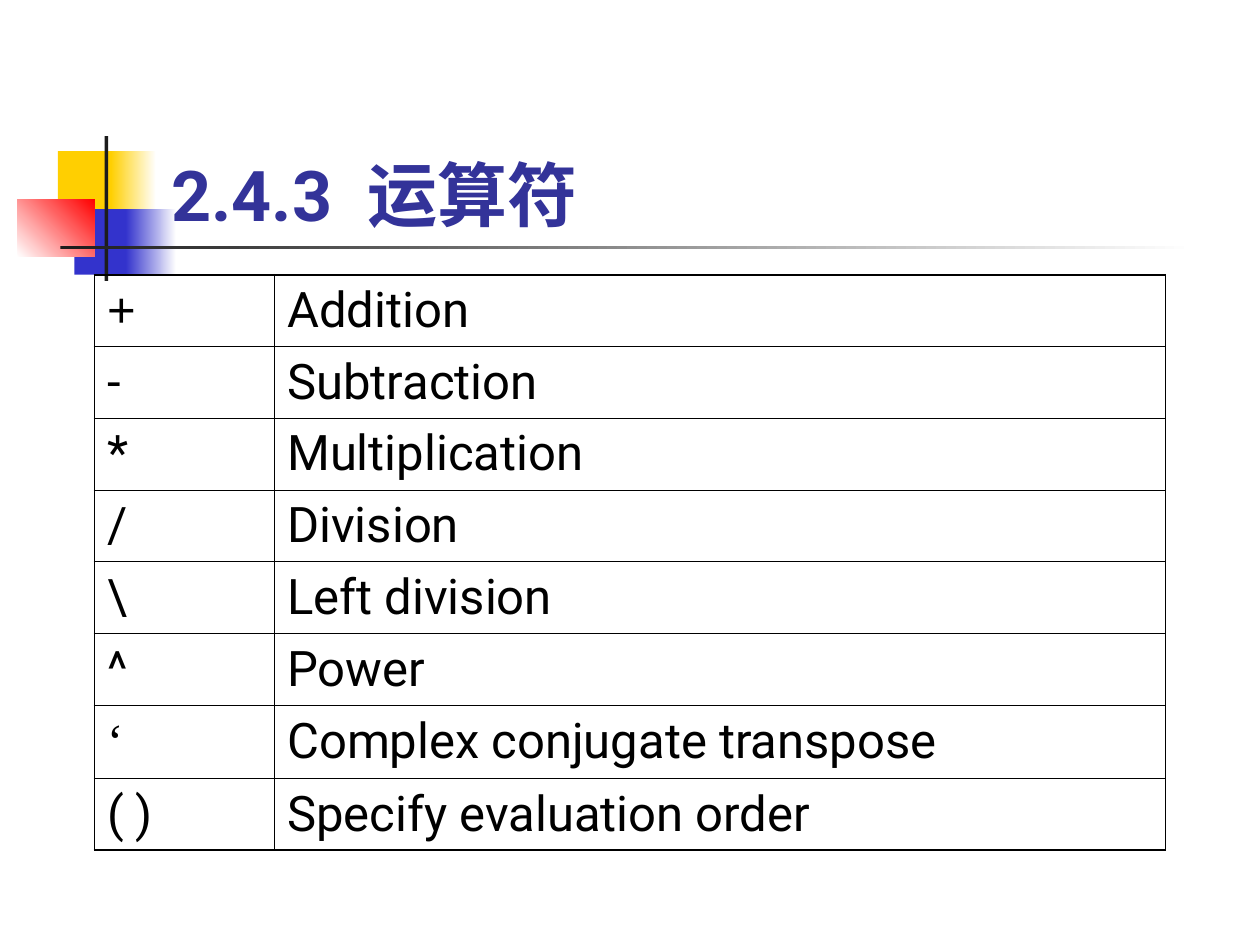
from dataclasses import dataclass

from lxml.etree import SubElement
from pptx import Presentation
from pptx.dml.color import RGBColor
from pptx.enum.shapes import MSO_SHAPE as Shape
from pptx.enum.text import MSO_ANCHOR as Anchor, MSO_AUTO_SIZE as AutoSize, PP_ALIGN as Align
from pptx.oxml.ns import qn
from pptx.util import Inches, Pt


@dataclass(frozen=True)
class Theme:
    font: str = "Roboto"
    plus_font: str = "Arial"
    quote_font: str = "Times New Roman"
    title_size: int = 40
    body_size: int = 28
    title: str = "333399"
    ink: str = "000000"
    bar: str = "1C1C1C"
    white: str = "FFFFFF"
    yellow: str = "FFCF01"
    blue: str = "3333CC"
    red: str = "FF0000"
    thin: float = 0.45
    thick: float = 1.08


THEME = Theme()
TITLE = ("2.4.3", "运算符")
OPERATORS = [
    ("+", "Addition"),
    ("-", "Subtraction"),
    ("*", "Multiplication"),
    ("/", "Division"),
    ("\\", "Left division"),
    ("^", "Power"),
    ("‘", "Complex conjugate transpose"),
    ("( )", "Specify evaluation order"),
]
SYMBOL_FONTS = {"+": THEME.plus_font, "‘": THEME.quote_font}
COLUMN_WIDTHS = (1.43, 7.07)
ROW_HEIGHT = 0.57


def add_span(para, text, font=THEME.font, size=THEME.body_size, color=THEME.ink,
             bold=False, spacing=0):
    """Append a run; spacing is extra letter spacing in points."""
    span = para.add_run()
    span.text = text
    span.font.name = font
    span.font.size = Pt(size)
    span.font.bold = bold
    span.font.color.rgb = RGBColor.from_string(color)
    if spacing:
        span.font._element.set("spc", str(spacing * 100))


def set_borders(cell, widths):
    """Draw the left, right, top and bottom cell borders, widths in points."""
    properties = cell._tc.get_or_add_tcPr()
    for index, (side, width) in enumerate(zip("LRTB", widths)):
        line = properties.makeelement(qn(f"a:ln{side}"), {"w": str(Pt(width))})
        fill = SubElement(line, qn("a:solidFill"))
        SubElement(fill, qn("a:srgbClr"), val=THEME.ink)
        properties.insert(index, line)


class SlideBuilder:
    def __init__(self, slide, theme):
        self.slide = slide
        self.theme = theme

    def block(self, left, top, width, height, color, end=None, angle=0):
        """Add a plain rectangle, fading from color to end when end is given."""
        box = self.slide.shapes.add_shape(
            Shape.RECTANGLE, Inches(left), Inches(top), Inches(width), Inches(height))
        box.shadow.inherit = False
        box.line.fill.background()
        if end is None:
            box.fill.solid()
            box.fill.fore_color.rgb = RGBColor.from_string(color)
            return
        box.fill.gradient()
        box.fill.gradient_angle = angle
        for stop, stop_color in zip(box.fill.gradient_stops, (color, end)):
            stop.color.rgb = RGBColor.from_string(stop_color)

    def ornament(self):
        theme = self.theme
        self.block(0.46, 1.2, 0.48, 0.52, theme.yellow)
        self.block(0.88, 1.2, 0.36, 0.52, theme.yellow, theme.white)
        self.block(0.59, 1.66, 0.46, 0.52, theme.blue)
        self.block(1, 1.66, 0.4, 0.52, theme.blue, theme.white)
        self.block(0.14, 1.58, 0.61, 0.46, theme.white, theme.red, angle=45)
        self.block(0.83, 1.08, 0.03, 1.15, theme.bar)
        self.block(0.48, 1.95, 9, 0.03, theme.bar, theme.white)

    def title(self, number, name):
        box = self.slide.shapes.title
        self.slide.shapes._spTree.append(box._element)  # in front of the ornament
        box.left, box.top = Inches(1.26), Inches(0.67)
        box.width, box.height = Inches(8.52), Inches(1.25)
        frame = box.text_frame
        frame.auto_size = AutoSize.NONE
        frame.vertical_anchor = Anchor.BOTTOM
        para = frame.paragraphs[0]
        para.alignment = Align.LEFT
        for text, spacing in ((number, 0), (" ", 10), (name, 0)):
            add_span(para, text, size=self.theme.title_size, color=self.theme.title,
                     bold=True, spacing=spacing)

    def table(self, rows, left, top):
        thin, thick = self.theme.thin, self.theme.thick
        last_row, last_column = len(rows) - 1, len(COLUMN_WIDTHS) - 1
        frame = self.slide.shapes.add_table(
            len(rows), len(COLUMN_WIDTHS), Inches(left), Inches(top),
            Inches(sum(COLUMN_WIDTHS)), Inches(ROW_HEIGHT * len(rows)))
        table = frame.table
        table.first_row = table.horz_banding = False
        for column, width in zip(table.columns, COLUMN_WIDTHS):
            column.width = Inches(width)
        for r, texts in enumerate(rows):
            for c, text in enumerate(texts):
                cell = table.cell(r, c)
                cell.fill.background()
                cell.vertical_anchor = Anchor.MIDDLE
                para = cell.text_frame.paragraphs[0]
                para.space_before = Pt(7)
                add_span(para, text, font=SYMBOL_FONTS.get(text, self.theme.font))
                outer = (c == 0, c == last_column, r == 0, r == last_row)
                set_borders(cell, [thick if edge else thin for edge in outer])
        table.rows[rows.index(("‘", "Complex conjugate transpose"))].height = Inches(0.58)


def main():
    deck = Presentation()
    deck.slide_width, deck.slide_height = Inches(10), Inches(7.5)
    page = SlideBuilder(deck.slides.add_slide(deck.slide_layouts[5]), THEME)
    page.ornament()
    page.title(*TITLE)
    page.table(OPERATORS, 0.75, 2.18)
    deck.save("out.pptx")


if __name__ == "__main__":
    main()
